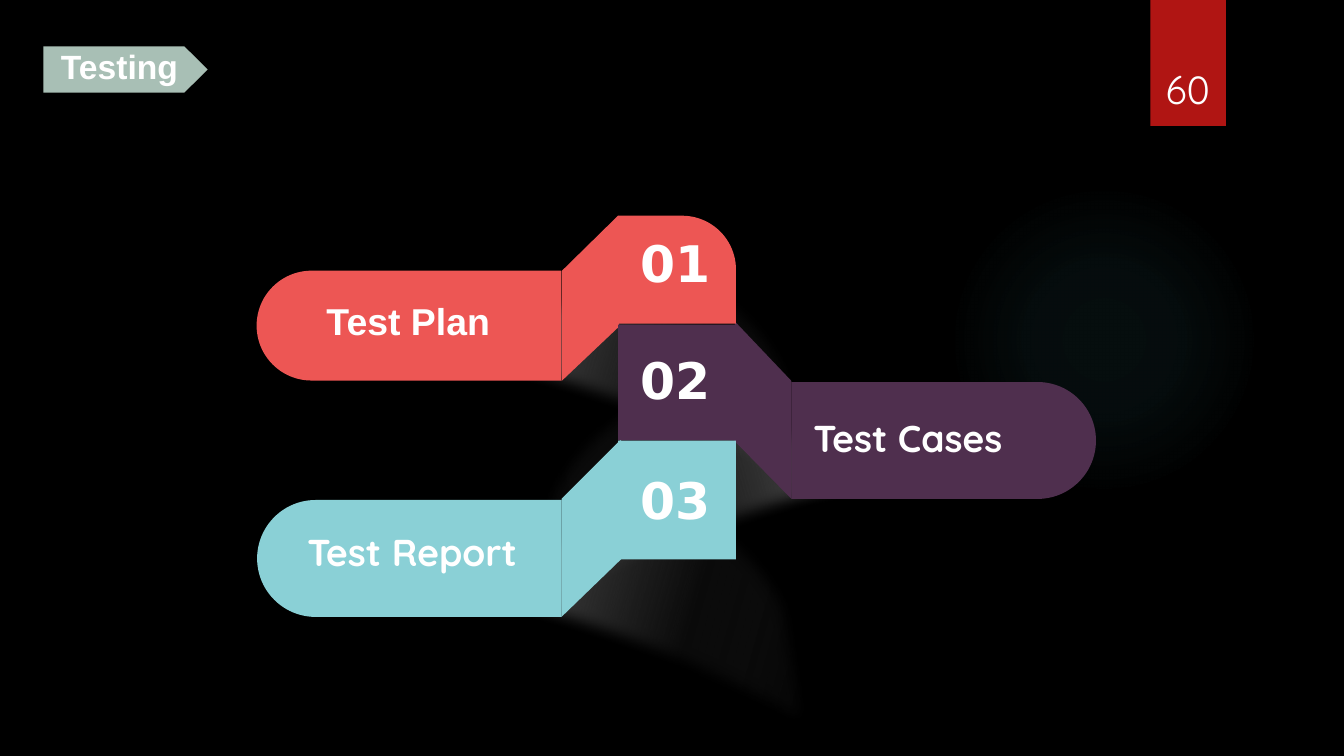
from lxml import etree
from pptx import Presentation
from pptx.dml.color import RGBColor
from pptx.enum.shapes import MSO_SHAPE
from pptx.enum.text import MSO_ANCHOR, PP_ALIGN
from pptx.oxml import parse_xml
from pptx.util import Pt

RECT, OVAL, PLATE = MSO_SHAPE.RECTANGLE, MSO_SHAPE.OVAL, MSO_SHAPE.PENTAGON
ROUND_ONE, ROUND_TWO = MSO_SHAPE.ROUND_1_RECTANGLE, MSO_SHAPE.ROUND_2_SAME_RECTANGLE
TOP, MIDDLE, BOTTOM = MSO_ANCHOR.TOP, MSO_ANCHOR.MIDDLE, MSO_ANCHOR.BOTTOM
LEFT, CENTER = PP_ALIGN.LEFT, PP_ALIGN.CENTER

PX = 9144  # 100 px to the inch
NS = "http://schemas.openxmlformats.org/drawingml/2006/main"
THEME = {
    "back": "000000", "text": "FFFFFF", "badge": "B01513", "tag": "A8BFB5",
    "red": "ED5654", "plum": "4F2F4E", "teal": "8AD0D6",
    "glow": [(0, "50B9C1", 7), (36, "50B9C1", 6), (69, "50B9C1", 0)],
    "shade": [(0, "919191", 100), (66, "707070", 10), (100, "FFFFFF", 0)],
    "title": 24, "label": 26.7, "number": 36, "page": 28,
}


def paint(shape, name):
    shape.fill.solid()
    shape.fill.fore_color.rgb = RGBColor.from_string(THEME[name])
    shape.line.fill.background()
    shape.shadow.inherit = False


def grade(shape, stops, course):
    shape.line.fill.background()
    shape.shadow.inherit = False
    marks = "".join(
        f'<a:gs pos="{pos * 1000}"><a:srgbClr val="{color}">'
        f'<a:alpha val="{alpha * 1000}"/></a:srgbClr></a:gs>'
        for pos, color, alpha in stops)
    fill = parse_xml(f'<a:gradFill xmlns:a="{NS}" rotWithShape="1">'
                     f'<a:gsLst>{marks}</a:gsLst>{course}</a:gradFill>')
    shape.element.spPr.find(f"{{{NS}}}ln").addprevious(fill)


deck = Presentation()
deck.slide_width, deck.slide_height = 1333 * PX, 750 * PX
slide = deck.slides.add_slide(deck.slide_layouts[5])
shapes = slide.shapes
slide.background.fill.solid()
slide.background.fill.fore_color.rgb = RGBColor.from_string(THEME["back"])

# Glow and page badge
glow = shapes.add_shape(OVAL, 941 * PX, 183 * PX, 308 * PX, 308 * PX)
grade(glow, THEME["glow"], '<a:path path="circle"><a:fillToRect l="50000" t="50000" '
      'r="50000" b="50000"/></a:path>')
badge = shapes.add_shape(RECT, 1141 * PX, 0, 75 * PX, 125 * PX)
paint(badge, "badge")

# Soft shadows: one curved outline, mirrored for the right side
WIDE = 468
edge = [(0, 134), (176, 137), (351, 190), (468, 252), (426, 98), (409, 67),
        (379, 34), (300, 0), (208, 38), (163, 63), (0, 134)]
for left, top, flip in [(494, 364, True), (363, 475, False), (363, 241, False)]:
    points = [(left + (WIDE - x if flip else x), top + y) for x, y in edge]
    pen = shapes.build_freeform(*points[0], scale=PX)
    pen.add_line_segments(points[1:])
    shade = pen.convert_to_shape()
    shade.rotation = -5.8 if flip else 5.8
    # Turn each run of three points into one curve
    lines = list(shade.element.iter(f"{{{NS}}}lnTo"))
    for start in (0, 4, 7):
        curve = etree.Element(f"{{{NS}}}cubicBezTo")
        lines[start].addprevious(curve)
        for line in lines[start:start + 3]:
            curve.append(line[0])
            line.getparent().remove(line)
    angle = 170 if flip else 10
    grade(shade, THEME["shade"], f'<a:lin ang="{angle * 60000}" scaled="0"/>')
    effects = shade.element.spPr.find(f"{{{NS}}}effectLst")
    etree.SubElement(effects, f"{{{NS}}}softEdge", rad="127000")

# Ribbons: slanted fold and rounded bar
ribbons = [
    ("red", [(613, 214), (557, 269), (557, 378), (614, 324)], (351, 172, 109, 302), 270),
    ("plum", [(729, 319), (785, 378), (785, 495), (728, 437)], (878, 286, 116, 302), 90),
    ("teal", [(616, 436), (557, 495), (557, 612), (617, 554)], (348, 403, 116, 302), 270),
]
for color, points, place, turn in ribbons:
    pen = shapes.build_freeform(*points[0], scale=PX)
    pen.add_line_segments(points[1:])
    paint(pen.convert_to_shape(), color)
    bar = shapes.add_shape(ROUND_TWO, *[n * PX for n in place])
    bar.adjustments[0], bar.adjustments[1] = 0.5, 0
    bar.rotation = turn
    paint(bar, color)

# Center column
blocks = [("red", ROUND_ONE, 214, 107), ("plum", RECT, 322, 115), ("teal", RECT, 437, 118)]
for color, kind, top, height in blocks:
    block = shapes.add_shape(kind, 613 * PX, top * PX, 117 * PX, height * PX)
    if kind == ROUND_ONE:
        block.adjustments[0] = 0.5
    paint(block, color)

# Title tag, with the title in front of it
tag = shapes.add_shape(PLATE, 43 * PX, 46 * PX, 163 * PX, 46 * PX)
tag.adjustments[0] = 0.504
paint(tag, "tag")
title = shapes.title
title.element.getparent().append(title.element)

# Text
texts = [
    ("01", (625, 225, 92, 71), "number", "DejaVu Sans", LEFT, TOP),
    ("02", (625, 341, 92, 71), "number", "DejaVu Sans", LEFT, TOP),
    ("03", (625, 460, 92, 71), "number", "DejaVu Sans", LEFT, TOP),
    ("Test Plan", (314, 291, 213, 95), "label", "Arial", LEFT, TOP),
    ("Test Cases", (797, 407, 276, 100), "label", "Quicksand", LEFT, TOP),
    ("Test Report", (295, 520, 333, 100), "label", "Quicksand", LEFT, TOP),
    ("60", (1132, 32, 92, 84), "page", "Quicksand", CENTER, BOTTOM),
    ("Testing", (43, 43, 151, 46), "title", "Arial", CENTER, MIDDLE),
]
for words, place, role, face, align, anchor in texts:
    spot = [n * PX for n in place]
    if role == "title":
        box = title
        box.left, box.top, box.width, box.height = spot
    else:
        box = shapes.add_textbox(*spot)
    frame = box.text_frame
    frame.word_wrap = role != "number"
    frame.vertical_anchor = anchor
    if role == "title":
        frame.margin_left = frame.margin_right = 13 * PX
        frame.margin_top = frame.margin_bottom = 0
    frame.text = words
    line = frame.paragraphs[0]
    line.alignment = align
    line.font.name, line.font.size = face, Pt(THEME[role])
    line.font.bold = role != "page"
    line.font.color.rgb = RGBColor.from_string(THEME["text"])

deck.save("out.pptx")
